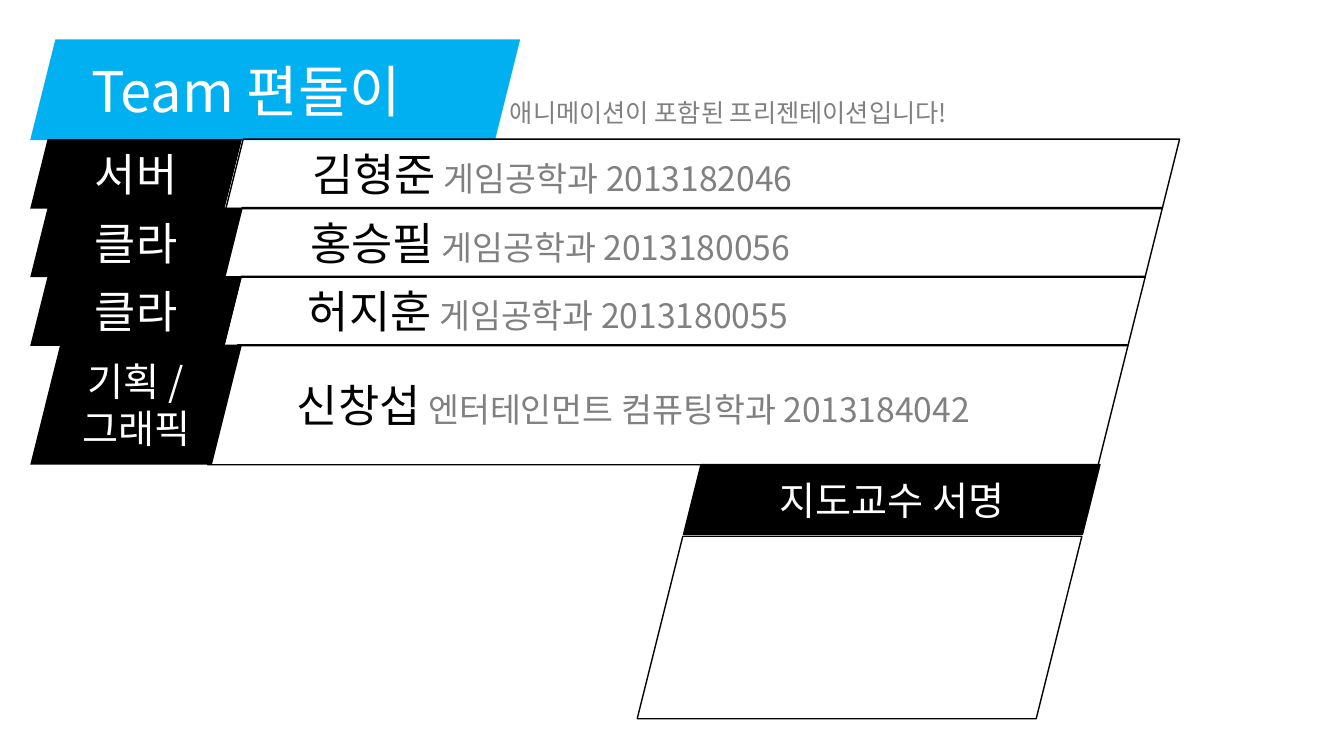
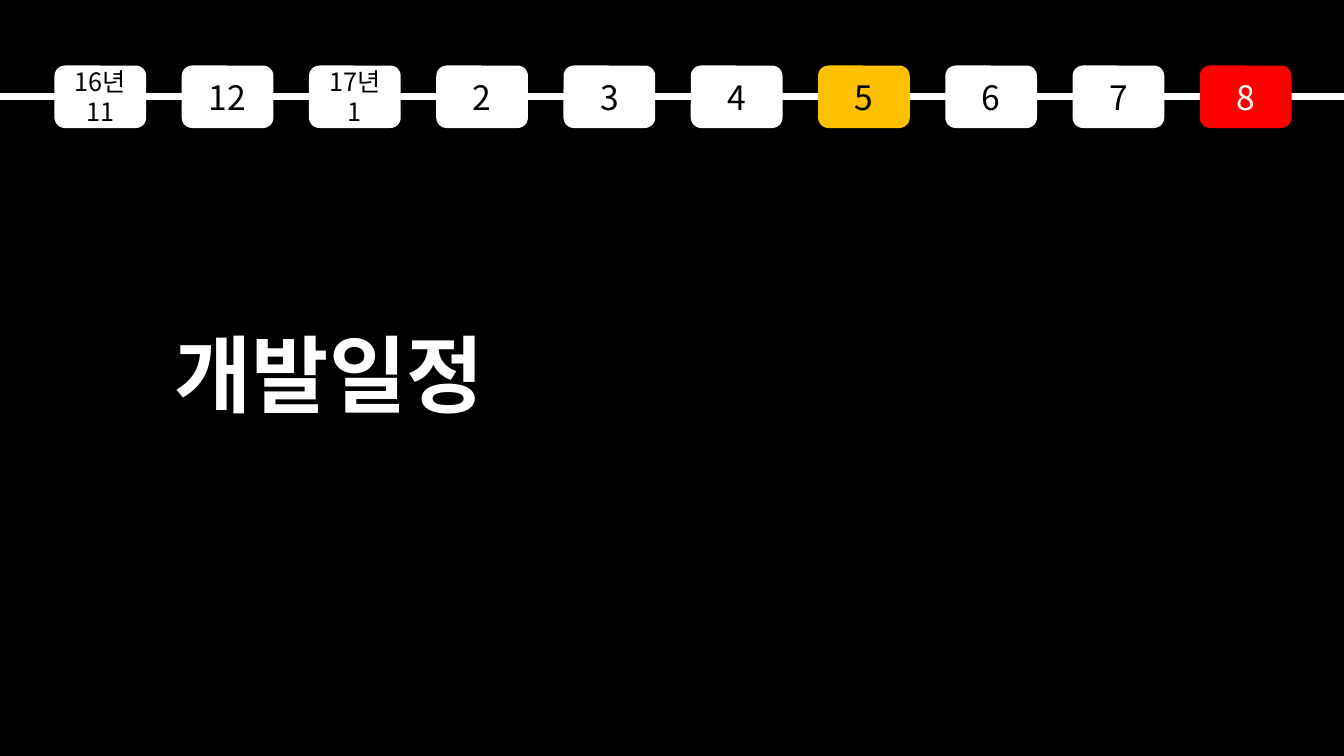
from dataclasses import dataclass

import pptx
import pptx.dml.color
import pptx.enum.shapes
import pptx.enum.text
import pptx.util
from lxml import etree

SHAPES = pptx.enum.shapes.MSO_SHAPE
ALIGN = pptx.enum.text.PP_ALIGN
ANCHOR = pptx.enum.text.MSO_ANCHOR
COLUMNS, ROWS = 1333, 750
CELL = pptx.util.Inches(0.01)


@dataclass(frozen=True)
class Theme:
    """Colours, type sizes and line widths shared by the slides."""
    font: str = "Noto Sans CJK KR"
    black: str = "000000"
    white: str = "FFFFFF"
    grey: str = "808080"
    blue: str = "00B0F0"
    amber: str = "FFC000"
    red: str = "FF0000"
    title: int = 60
    team: int = 40
    name: int = 32
    label: int = 28
    detail: int = 24
    note: int = 18
    outline: int = 1
    track: int = 5


THEME = Theme()


@dataclass(frozen=True)
class Box:
    """A rectangle measured in grid cells."""
    left: float
    top: float
    width: float
    height: float

    @property
    def right(self):
        """Return the right edge."""
        return self.left + self.width

    @property
    def middle(self):
        """Return the vertical centre."""
        return self.top + self.height / 2

    def inner(self, left, top, width, height):
        """Return a box offset from this one's corner."""
        return Box(self.left + left, self.top + top, width, height)

    def lengths(self):
        """Return left, top, width and height as slide lengths."""
        return [cells(n) for n in (self.left, self.top, self.width, self.height)]


def cells(count):
    """Convert grid cells to a slide length."""
    return pptx.util.Emu(round(count * CELL))


def rgb(value):
    """Return a colour object for a hex value."""
    return pptx.dml.color.RGBColor.from_string(value)


def write(frame, paragraphs, align=ALIGN.LEFT, bold=None):
    """Fill a frame with paragraphs of (text, size, colour) runs."""
    for index, runs in enumerate(paragraphs):
        paragraph = frame.paragraphs[0] if index == 0 else frame.add_paragraph()
        paragraph.alignment = align
        for text, size, colour in runs:
            run = paragraph.add_run()
            run.text = text
            run.font.size = pptx.util.Pt(size)
            run.font.bold = bold
            run.font.color.rgb = rgb(colour)
            run.font.name = THEME.font
            east_asian = etree.SubElement(run._r.get_or_add_rPr(), pptx.oxml.ns.qn("a:ea"))
            east_asian.set("typeface", THEME.font)


def add_panel(slide, kind, box, fill=None, line=None, paragraphs=(), align=ALIGN.CENTER, margin=None):
    """Add a preset shape with optional fill, outline and text."""
    shape = slide.shapes.add_shape(kind, *box.lengths())
    shape.shadow.inherit = False
    if fill:
        shape.fill.solid()
        shape.fill.fore_color.rgb = rgb(fill)
    else:
        shape.fill.background()
    if line:
        shape.line.color.rgb = rgb(line)
        shape.line.width = pptx.util.Pt(THEME.outline)
    else:
        shape.line.fill.background()
    frame = shape.text_frame
    frame.vertical_anchor = ANCHOR.MIDDLE
    if margin is not None:
        frame.margin_left = frame.margin_right = margin
        frame.margin_top = frame.margin_bottom = margin
    write(frame, paragraphs, align)


def add_text(slide, box, run, align=ALIGN.LEFT, bold=None):
    """Add one unwrapped line of text."""
    frame = slide.shapes.add_textbox(*box.lengths()).text_frame
    frame.word_wrap = False
    frame.auto_size = pptx.enum.text.MSO_AUTO_SIZE.SHAPE_TO_FIT_TEXT
    write(frame, [[run]], align, bold)


def add_track(slide, box):
    """Draw the white line through the middle of a box."""
    line = slide.shapes.add_connector(
        pptx.enum.shapes.MSO_CONNECTOR.STRAIGHT,
        cells(box.left), cells(box.middle), cells(box.right), cells(box.middle))
    line.line.color.rgb = rgb(THEME.white)
    line.line.width = pptx.util.Pt(THEME.track)
    etree.SubElement(line._element.spPr, pptx.oxml.ns.qn("a:effectLst"))


def add_header(slide, box):
    """Place the team banner and the note beside it."""
    add_panel(slide, SHAPES.PARALLELOGRAM, box.inner(0, 0, 486, box.height), THEME.blue,
              paragraphs=[[("Team 편돌이", THEME.team, THEME.white)]], align=ALIGN.LEFT)
    add_text(slide, box.inner(466, 53, 500, 40),
             ("애니메이션이 포함된 프리젠테이션입니다!", THEME.note, THEME.grey))


def add_roster(slide, box, members):
    """Stack the member rows, whose right edges follow one slanted line."""
    label_width, row_height, slant = 210, 68, 17
    for index, (role, size, name, detail, overlap) in enumerate(members):
        top = index * row_height
        height = box.height - top if index == len(members) - 1 else row_height + 1
        left = label_width - overlap
        add_panel(slide, SHAPES.PARALLELOGRAM,
                  box.inner(left, top, box.width - index * slant - left, height),
                  line=THEME.black, align=ALIGN.LEFT, margin=0,
                  paragraphs=[[(name, THEME.name, THEME.black),
                               (" " + detail, THEME.detail, THEME.grey)]])
        add_panel(slide, SHAPES.PARALLELOGRAM, box.inner(0, top, label_width, height), THEME.black,
                  paragraphs=[[(text, size, THEME.white)] for text in role])


def add_signature(slide, box):
    """Place the signature heading above its empty field."""
    add_panel(slide, SHAPES.PARALLELOGRAM, box.inner(46, 0, box.width - 46, 69),
              THEME.black, THEME.black, [[("지도교수 서명", THEME.label, THEME.white)]])
    add_panel(slide, SHAPES.PARALLELOGRAM, box.inner(0, 71, 441, box.height - 71),
              line=THEME.black)


def add_timeline(slide, box, months):
    """Spread the month tiles evenly along the box."""
    tile_width = 91
    step = (box.width - tile_width) / (len(months) - 1)
    for index, (lines, fill, colour) in enumerate(months):
        size = THEME.note if len(lines) > 1 else THEME.detail
        add_panel(slide, SHAPES.ROUNDED_RECTANGLE,
                  box.inner(index * step, 0, tile_width, box.height), fill,
                  paragraphs=[[(text, size, colour)] for text in lines])


def build_team_slide(slide):
    """Build the team slide."""
    members = [
        (["서버"], THEME.name, "김형준", "게임공학과 2013182046", 16),
        (["클라"], THEME.name, "홍승필", "게임공학과 2013180056", 17),
        (["클라"], THEME.name, "허지훈", "게임공학과 2013180055", 18),
        (["기획 /", "그래픽"], THEME.label, "신창섭", "엔터테인먼트 컴퓨팅학과 2013184042", 34),
    ]
    add_header(slide, Box(30, 39, 966, 100))
    add_roster(slide, Box(30, 138, 1140, 323), members)
    add_signature(slide, Box(632, 461, 459, 252))


def build_schedule_slide(slide):
    """Build the schedule divider slide."""
    special = {"5": (THEME.amber, THEME.black), "8": (THEME.red, THEME.white)}
    labels = [["16년", "11"], ["12"], ["17년", "1"]] + [[str(month)] for month in range(2, 9)]
    months = [(lines, *special.get(lines[0], (THEME.white, THEME.black))) for lines in labels]
    add_panel(slide, SHAPES.RECTANGLE, Box(0, 0, COLUMNS, ROWS), THEME.black)
    add_track(slide, Box(0, 65, COLUMNS, 62))
    add_text(slide, Box(148, 315, 357, 111), ("개발일정", THEME.title, THEME.white),
             ALIGN.CENTER, True)
    add_timeline(slide, Box(54, 65, 1227, 62), months)


def main():
    """Build and save the presentation."""
    presentation = pptx.Presentation()
    presentation.slide_width = cells(COLUMNS)
    presentation.slide_height = cells(ROWS)
    for build in (build_team_slide, build_schedule_slide):
        build(presentation.slides.add_slide(presentation.slide_layouts[6]))
    presentation.save("out.pptx")


main()
